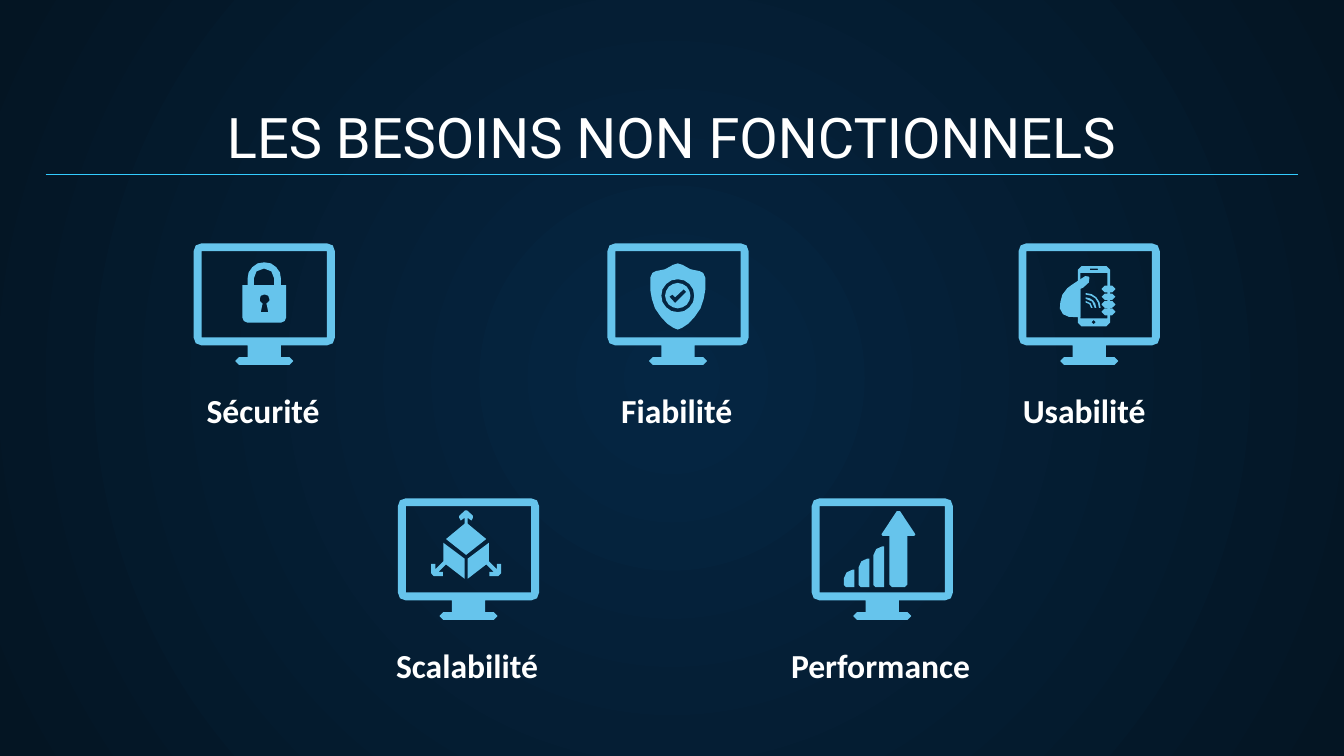
"""Build the slide on non-functional requirements, with one icon per requirement."""
from math import dist

from lxml import etree
from pptx import Presentation
from pptx import util as u
from pptx.dml.color import RGBColor
from pptx.enum import shapes, text
from pptx.oxml.ns import qn

WHITE = RGBColor(0xFF, 0xFF, 0xFF)
SKY = RGBColor(0x66, 0xC4, 0xEC)
CYAN = RGBColor(0x33, 0xCC, 0xFF)
NAVY = RGBColor(0x05, 0x26, 0x43)
NIGHT = RGBColor(0x04, 0x15, 0x23)


def bend(before, corner, after, radius):
    """Return the few points that round one corner."""
    start, end = [[c + (n - c) * radius / dist(corner, near)
                   for c, n in zip(corner, near)] for near in (before, after)]
    steps = 1 if radius < 0.08 else 2 if radius < 0.2 else 4
    points = []
    for step in range(steps + 1):
        t = step / steps
        a = (1 - t) ** 3 + 1.35 * t * (1 - t) ** 2
        b = t ** 3 + 1.35 * (1 - t) * t ** 2
        points.append(tuple(round(a * s + b * e + (1 - a - b) * c, 2)
                            for s, e, c in zip(start, end, corner)))
    return points


def rounded(corners):
    """Turn corners (x, y, optional radius) into the points of an outline."""
    points = []
    for index, (x, y, *radius) in enumerate(corners):
        before, after = corners[index - 1], corners[(index + 1) % len(corners)]
        points += bend(before[:2], (x, y), after[:2], *radius) if radius else [(x, y)]
    return list(dict.fromkeys(points))


def block(left, top, right, bottom, *radius):
    """Return the corners of a rectangle, rounded if a radius is given."""
    return [(left, top, *radius), (right, top, *radius),
            (right, bottom, *radius), (left, bottom, *radius)]


def disc(x, y, radius):
    """Return the corners of a circle."""
    return block(x - radius, y - radius, x + radius, y + radius, radius)


def wave(x, y, inner, outer):
    """Return the corners of a quarter ring."""
    return [(x, y - outer), (x + outer, y - outer, outer), (x + outer, y),
            (x + inner, y), (x + inner, y - inner, inner), (x, y - inner)]


def mirrored(corners, axis):
    """Reflect corners across a vertical axis, in reverse order."""
    return [(round(2 * axis - x, 2), *rest) for x, *rest in reversed(corners)]


def add_outline(page, left, top, contours):
    """Draw contours as one filled shape; inner contours cut holes."""
    builder = None
    for contour in contours:
        points = [(u.Cm(left + x), u.Cm(top + y)) for x, y in rounded(contour)]
        if builder is None:
            builder = page.shapes.build_freeform(*points[0])
        else:
            builder.move_to(*points[0])
        builder.add_line_segments(points[1:], close=True)
    shape = builder.convert_to_shape()
    shape.shadow.inherit = False
    shape.fill.solid()
    shape.fill.fore_color.rgb = SKY
    shape.line.fill.background()


def monitor():
    """Return the contours of a screen on its stand."""
    half = [(2.67, 0, 0.15), (2.67, 1.93, 0.15), (1.65, 1.93), (1.65, 2.15),
            (1.88, 2.15, 0.07), (1.88, 2.3, 0.07)]
    return [half + mirrored(half, 1.335), block(0.15, 0.15, 2.52, 1.78)]


def padlock():
    """Return the shapes of a padlock."""
    half = [(1.65, 0.36, 0.31), (1.65, 0.79), (1.75, 0.79), (1.75, 1.5, 0.1)]
    shackle = [(1.14, 0.48, 0.18), (1.52, 0.48, 0.18), (1.52, 0.79), (1.14, 0.79)]
    key = [(1.43, 0.97, 0.08), (1.43, 1.15, 0.06), (1.38, 1.15), (1.41, 1.3)]
    return [[half + mirrored(half, 1.335), shackle, key + mirrored(key, 1.34)]]


def shield():
    """Return the shapes of a shield with a check mark."""
    half = [(1.56, 0.51, 0.15), (1.85, 0.53, 0.12), (1.85, 1.28, 0.4)]
    body = [(1.33, 0.34, 0.12), *half, (1.33, 1.66, 0.1), *mirrored(half, 1.33)]
    check = [(1.17, 1.01), (1.23, 0.97), (1.28, 1.02),
             (1.44, 0.87), (1.49, 0.92), (1.28, 1.13)]
    return [[body, disc(1.33, 0.99, 0.31), disc(1.33, 0.99, 0.24), check]]


def phone():
    """Return the shapes of a hand holding a phone."""
    case = [block(1.12, 0.43, 1.73, 1.57, 0.07), block(1.17, 0.56, 1.68, 1.42),
            block(1.35, 0.48, 1.5, 0.51), disc(1.42, 1.49, 0.04)]
    hand = [(1.12, 0.71), (0.91, 0.84, 0.1), (0.76, 1.1, 0.15),
            (0.8, 1.38, 0.15), (1.17, 1.4), (1.17, 0.86), (1.22, 0.84),
            (1.38, 0.7, 0.06), (1.3, 0.59, 0.05)]
    fingers = [block(1.57, 0.8 + 0.145 * row, 1.83, 0.93 + 0.145 * row, 0.06)
               for row in range(4)]
    waves = [wave(1.27, 1.22, radius, radius + 0.03) for radius in (0.1, 0.17, 0.25)]
    return [case, [hand], fingers, waves]


def cube():
    """Return the shapes of a cube growing along three arrows."""
    half = [(1.44, 0.35, 0.03), (1.39, 0.42), (1.32, 0.37), (1.32, 0.48),
            (1.67, 0.77)]
    lid = [(1.29, 0.21, 0.03), *half, (1.29, 1.07), *mirrored(half, 1.29)]
    side = [(1.72, 0.84), (1.32, 1.14), (1.32, 1.52), (1.67, 1.25), (1.81, 1.39),
            (1.73, 1.39), (1.73, 1.47), (1.95, 1.47, 0.05),
            (1.95, 1.24), (1.87, 1.24), (1.87, 1.34), (1.72, 1.19)]
    return [[lid], [side], [mirrored(side, 1.29)]]


def growth():
    """Return the shapes of rising bars and an arrow."""
    bars = [[(left, top, 0.16), (left + 0.2, top), (left + 0.2, 1.68),
             (left, 1.68, 0.04)]
            for left, top in ((0.61, 1.35), (0.89, 1.14), (1.17, 0.91))]
    half = [(1.98, 0.71, 0.04), (1.81, 0.71), (1.81, 1.68, 0.05)]
    return [bars, [[(1.64, 0.2, 0.05), *half, *mirrored(half, 1.64)]]]


def add_span(para, words, font, size, bold=False):
    """Add one run of white text."""
    span = para.add_run()
    span.text = words
    span.font.name = font
    span.font.size = u.Pt(size)
    span.font.bold = bold
    span.font.color.rgb = WHITE


def add_label(page, center, top, width, words):
    """Add the name of a requirement."""
    box = page.shapes.add_textbox(u.Cm(center - width / 2), u.Cm(top),
                                  u.Cm(width), u.Cm(1.09))
    box.text_frame.word_wrap = False
    box.text_frame.auto_size = text.MSO_AUTO_SIZE.SHAPE_TO_FIT_TEXT
    para = box.text_frame.paragraphs[0]
    para.line_spacing = 1.07
    para.space_after = u.Pt(8)
    add_span(para, words, "Calibri", 18, True)


def add_requirement(page, left, top, width, words, icon):
    """Add a monitor with its icon and label."""
    for contours in [monitor(), *icon()]:
        add_outline(page, left, top, contours)
    add_label(page, left + 1.33, top + 2.6, width, words)


def set_title(page, words):
    """Place and fill the title."""
    title = page.shapes.title
    title.left, title.top = u.Cm(0.86), u.Cm(1.78)
    title.width, title.height = u.Cm(23.67), u.Cm(1.68)
    frame = title.text_frame
    frame.margin_top = frame.margin_bottom = u.Cm(0.25)
    frame.vertical_anchor = text.MSO_ANCHOR.BOTTOM
    frame.auto_size = text.MSO_AUTO_SIZE.NONE
    para = frame.paragraphs[0]
    para.alignment = text.PP_ALIGN.CENTER
    add_span(para, words, "Roboto", 30)


def add_rule(page):
    """Draw the line under the title."""
    rule = page.shapes.add_connector(shapes.MSO_CONNECTOR.STRAIGHT, u.Cm(0.86),
                                     u.Cm(3.3), u.Cm(24.54), u.Cm(3.3))
    rule.line.color.rgb = CYAN
    rule.line.width = u.Pt(0.75)
    etree.SubElement(rule._element.spPr, qn("a:effectLst"))


def set_background(page):
    """Fill the background with a gradient spreading from the centre."""
    fill = page.background.fill
    fill.gradient()
    for stop, color in zip(fill.gradient_stops, (NAVY, NIGHT)):
        stop.color.rgb = color
    gradient = page.element.find(".//" + qn("a:gradFill"))
    gradient.remove(gradient.find(qn("a:lin")))
    spread = etree.Element(qn("a:path"), attrib={"path": "circle"})
    gradient.find(qn("a:gsLst")).addnext(spread)
    etree.SubElement(spread, qn("a:fillToRect"), attrib=dict.fromkeys("ltrb", "50000"))


def main():
    """Assemble and save the deck."""
    deck = Presentation()
    deck.slide_width, deck.slide_height = u.Cm(25.4), u.Cm(14.29)
    page = deck.slides.add_slide(deck.slide_layouts[5])
    set_background(page)
    set_title(page, "LES BESOINS NON FONCTIONNELS")
    add_rule(page)
    for requirement in ((3.66, 4.6, 2.67, "Sécurité", padlock),
                        (11.48, 4.6, 2.64, "Fiabilité", shield),
                        (19.25, 4.6, 3, "Usabilité", phone),
                        (7.52, 9.42, 3.23, "Scalabilité", cube),
                        (15.34, 9.42, 3.94, "Performance", growth)):
        add_requirement(page, *requirement)
    deck.save("out.pptx")


if __name__ == "__main__":
    main()
